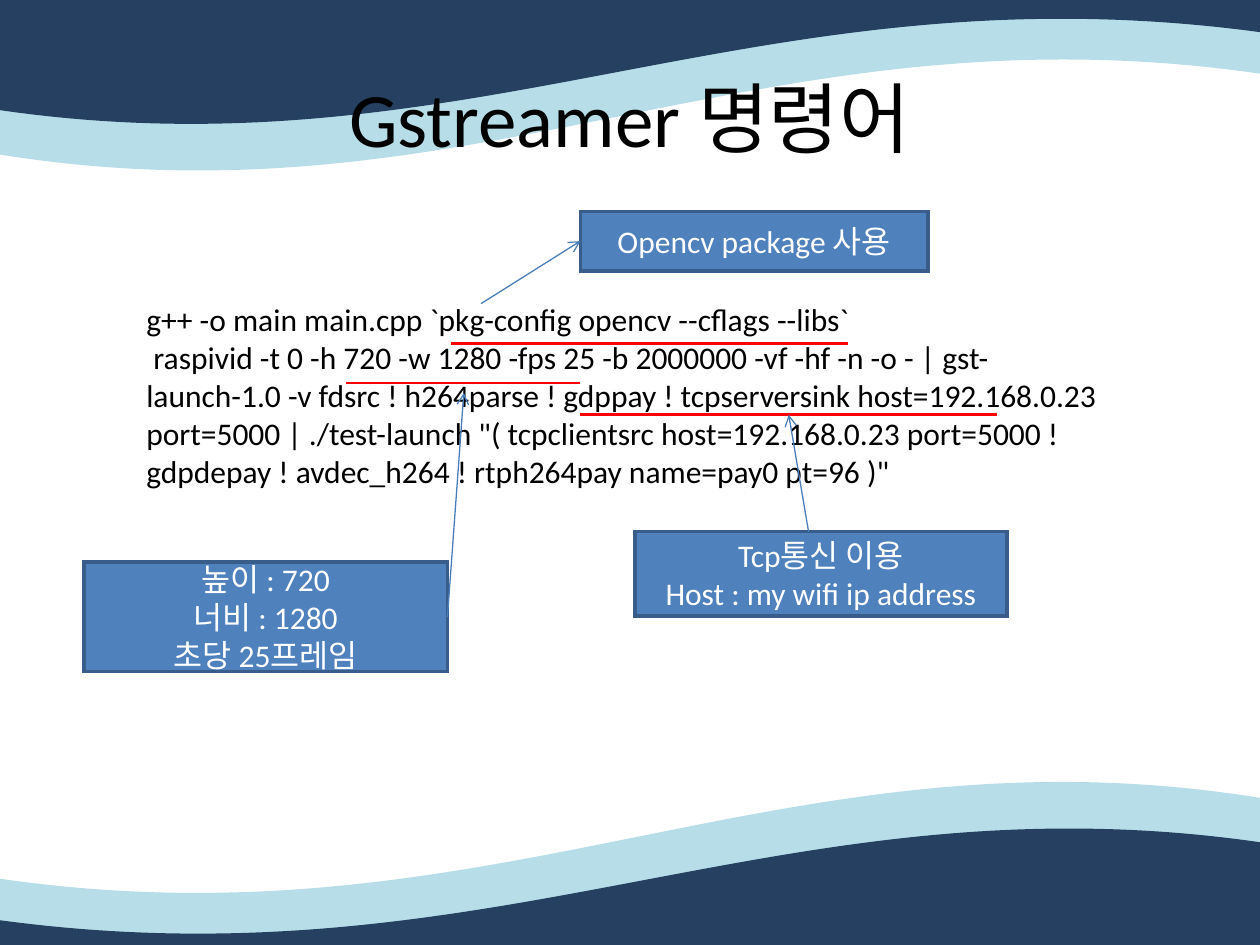
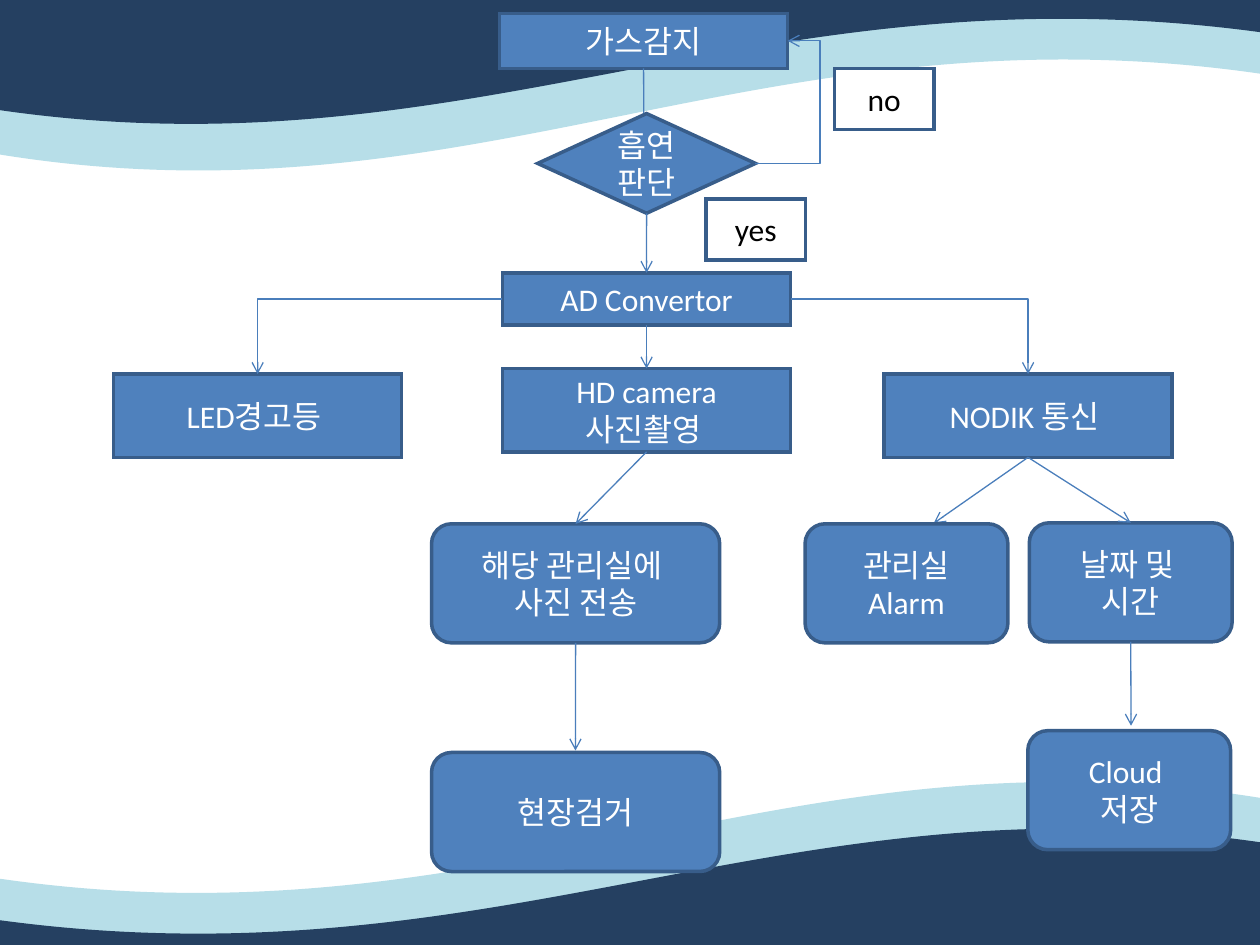
from dataclasses import dataclass
from typing import NamedTuple, Optional, Union

import lxml.etree
import pptx
import pptx.dml.color
import pptx.enum.shapes
import pptx.enum.text
import pptx.oxml.ns
import pptx.util

Cm = pptx.util.Cm
Pt = pptx.util.Pt
RGBColor = pptx.dml.color.RGBColor
Shape = pptx.enum.shapes.MSO_SHAPE
Align = pptx.enum.text.PP_ALIGN
Anchor = pptx.enum.text.MSO_ANCHOR
qn = pptx.oxml.ns.qn

FONT = "Calibri"
BLACK = RGBColor(0x00, 0x00, 0x00)
WHITE = RGBColor(0xFF, 0xFF, 0xFF)
NAVY = RGBColor(0x25, 0x40, 0x61)
PALE_BLUE = RGBColor(0xB7, 0xDE, 0xE8)
BOX_BLUE = RGBColor(0x4F, 0x81, 0xBD)
BORDER_BLUE = RGBColor(0x38, 0x5D, 0x8A)
ARROW_BLUE = RGBColor(0x4A, 0x7E, 0xBB)
RED = RGBColor(0xFF, 0x00, 0x00)

SLIDE_WIDTH, SLIDE_HEIGHT = 25.4, 19.05
WAVE_TURN_HEIGHT = 19.2  # a bottom wave is a top wave turned: y -> 19.2 - y
TOP, LEFT, BOTTOM, RIGHT = range(4)


class Point(NamedTuple):
    """A place on the slide, in cm."""
    x: float
    y: float


class Side(NamedTuple):
    """A connection site of a node."""
    node: str
    site: int


@dataclass(frozen=True)
class Wave:
    color: RGBColor
    edge: float
    height: float
    curve: tuple[Point, Point, Point, Point]


@dataclass(frozen=True)
class Node:
    key: str
    left: float
    top: float
    width: float
    height: float
    lines: tuple[str, ...]
    kind: Shape = Shape.RECTANGLE
    fill: RGBColor = BOX_BLUE
    ink: RGBColor = WHITE


@dataclass(frozen=True)
class Arrow:
    begin: Union[Point, Side]
    end: Union[Point, Side]
    geometry: str = "line"
    bend: Optional[int] = None


@dataclass(frozen=True)
class Underline:
    left: float
    right: float
    y: float


WAVES = (
    Wave(PALE_BLUE, -0.08, 3.51,
         (Point(25.5, 1.5), Point(15.32, 0), Point(9.6, 4.7), Point(-0.1, 3.1))),
    Wave(NAVY, -0.13, 2.64,
         (Point(25.48, 0.66), Point(15.29, -0.74), Point(9.58, 3.63), Point(-0.08, 2.21))),
)

COMMAND = (
    "g++ -o main main.cpp `pkg-config opencv --cflags --libs`",
    " raspivid -t 0 -h 720 -w 1280 -fps 25 -b 2000000 -vf -hf -n -o - | "
    "gst-launch-1.0 -v fdsrc ! h264parse ! gdppay ! tcpserversink "
    "host=192.168.0.23 port=5000 | ./test-launch \"( tcpclientsrc "
    "host=192.168.0.23 port=5000 ! gdpdepay ! avdec_h264 ! rtph264pay "
    "name=pay0 pt=96 )\"",
)

COMMAND_NOTES = (
    Underline(9.1, 17.1, 6.93),
    Node("opencv", 11.7, 4.26, 7.01, 1.2, ("Opencv package 사용",)),
    Arrow(Point(9.7, 6.12), Side("opencv", LEFT)),
    Underline(6.98, 11.7, 7.72),
    Node("video", 1.69, 11.33, 7.33, 2.21, ("높이 : 720", "너비 : 1280", "초당 25프레임")),
    Arrow(Side("video", RIGHT), Point(9.35, 7.92)),
    Underline(11.7, 20.09, 8.36),
    Node("tcp", 12.8, 10.72, 7.5, 1.7, ("Tcp통신 이용", "Host : my wifi ip address")),
    Arrow(Point(16.3, 10.72), Point(15.9, 8.36)),
)

STEP_WIDTH, STEP_HEIGHT = 5.81, 1.68
ROUND_WIDTH, ROUND_HEIGHT = 4.09, 2.4


def step(key: str, left: float, top: float, *lines: str, height: float = STEP_HEIGHT) -> Node:
    return Node(key, left, top, STEP_WIDTH, height, lines)


def result(key: str, left: float, top: float, *lines: str, width: float = ROUND_WIDTH) -> Node:
    return Node(key, left, top, width, ROUND_HEIGHT, lines, Shape.ROUNDED_RECTANGLE)


def answer(left: float, top: float, word: str) -> Node:
    return Node(word, left, top, 2.01, 1.23, (word,), fill=WHITE, ink=BLACK)


SMOKING_FLOW = (
    step("gas", 10.07, 0.27, "가스감지", height=1.11),
    Arrow(Side("gas", BOTTOM), Point(12.98, 3.12)),
    step("convertor", 10.13, 5.5, "AD Convertor", height=1.05),
    Node("smoking", 10.84, 2.29, 4.39, 2.01, ("흡연판단",), Shape.FLOWCHART_DECISION),
    Arrow(Side("smoking", RIGHT), Side("gas", RIGHT), "bentConnector3", 200500),
    answer(16.82, 1.38, "no"),
    result("send", 8.7, 10.56, "해당 관리실에 ", "사진 전송", width=STEP_WIDTH),
    step("camera", 10.13, 7.43, "HD camera", "사진촬영 "),
    Arrow(Side("smoking", BOTTOM), Side("convertor", TOP)),
    answer(14.23, 4.01, "yes"),
    Arrow(Side("convertor", BOTTOM), Side("camera", TOP)),
    step("led", 2.29, 7.54, "LED경고등 "),
    step("network", 17.82, 7.54, "NODIK 통신 "),
    Arrow(Side("convertor", LEFT), Side("led", TOP), "bentConnector2"),
    Arrow(Side("convertor", RIGHT), Side("network", TOP), "bentConnector2"),
    result("date", 20.75, 10.54, "날짜 및 ", "시간"),
    Arrow(Side("camera", BOTTOM), Side("send", TOP)),
    Arrow(Side("network", BOTTOM), Side("date", TOP)),
    result("arrest", 8.7, 15.17, "현장검거", width=STEP_WIDTH),
    Arrow(Side("send", BOTTOM), Point(11.6, 15.13)),
    Arrow(Side("network", BOTTOM), Point(18.82, 10.55)),
    result("alarm", 16.23, 10.56, "관리실", "Alarm"),
    Arrow(Side("date", BOTTOM), Point(22.8, 14.63)),
    result("cloud", 20.72, 14.73, "Cloud ", "저장"),
)


def write_lines(frame, lines: tuple[str, ...], color: RGBColor, align: Align, size: int = 18) -> None:
    frame.word_wrap = True
    for index, line in enumerate(lines):
        paragraph = frame.paragraphs[0] if index == 0 else frame.add_paragraph()
        paragraph.alignment = align
        run = paragraph.add_run()
        run.text = line
        run.font.name = FONT
        run.font.size = Pt(size)
        run.font.color.rgb = color


def draw_wave(slide, wave: Wave):
    """Draw a wave at the top; its last straight segment becomes a Bezier curve."""
    start, *_, finish = wave.curve
    builder = slide.shapes.build_freeform(Cm(finish.x), Cm(wave.edge))
    corners = (Point(start.x, wave.edge), start, finish)
    builder.add_line_segments([(Cm(x), Cm(y)) for x, y in corners], close=True)
    band = builder.convert_to_shape()
    outline = next(band.element.iter(qn("a:path")))
    curve = lxml.etree.Element(qn("a:cubicBezTo"))
    for x, y in wave.curve[1:]:
        lxml.etree.SubElement(curve, qn("a:pt"),
                              x=str(Cm(x) - band.left), y=str(Cm(y) - band.top))
    outline.replace(outline.findall(qn("a:lnTo"))[-1], curve)
    band.height = Cm(wave.height)
    outline.set("h", str(band.height))
    band.shadow.inherit = False
    band.fill.solid()
    band.fill.fore_color.rgb = wave.color
    band.line.fill.background()
    return band


def add_waves_to_master(presentation, slide) -> None:
    """Build the waves on a slide, then move them behind the master's content."""
    master_tree = presentation.slide_master.shapes.element
    position = 2
    for turned in (True, False):
        for wave in WAVES:
            band = draw_wave(slide, wave)
            if turned:
                band.rotation = 180
                band.left = Cm(SLIDE_WIDTH) - band.left - band.width
                band.top = Cm(WAVE_TURN_HEIGHT) - band.top - band.height
            band.element.nvSpPr.cNvPr.set("id", str(100 + position))
            master_tree.insert(position, band.element)
            position += 1


def draw_node(slide, node: Node):
    box = slide.shapes.add_shape(
        node.kind, Cm(node.left), Cm(node.top), Cm(node.width), Cm(node.height))
    box.shadow.inherit = False
    box.fill.solid()
    box.fill.fore_color.rgb = node.fill
    box.line.color.rgb = BORDER_BLUE
    box.line.width = Pt(2)
    lxml.etree.SubElement(box.element.spPr.find(qn("a:ln")), qn("a:miter"), lim="800000")
    box.text_frame.vertical_anchor = Anchor.MIDDLE
    write_lines(box.text_frame, node.lines, node.ink, Align.CENTER)
    return box


def draw_line(slide, begin: Point, end: Point, color: RGBColor, width: float):
    line = slide.shapes.add_connector(
        pptx.enum.shapes.MSO_CONNECTOR.STRAIGHT,
        Cm(begin.x), Cm(begin.y), Cm(end.x), Cm(end.y))
    line.line.color.rgb = color
    line.line.width = Pt(width)
    lxml.etree.SubElement(line.element.spPr, qn("a:effectLst"))
    return line


def draw_arrow(slide, arrow: Arrow, boxes: dict) -> None:
    begin, end = (Point(0, 0) if isinstance(place, Side) else place
                  for place in (arrow.begin, arrow.end))
    connector = draw_line(slide, begin, end, ARROW_BLUE, 0.75)
    for place, connect in ((arrow.begin, connector.begin_connect),
                           (arrow.end, connector.end_connect)):
        if isinstance(place, Side):
            connect(boxes[place.node], place.site)
    properties = connector.element.spPr
    lxml.etree.SubElement(properties.find(qn("a:ln")), qn("a:tailEnd"), type="arrow")
    geometry = properties.find(qn("a:prstGeom"))
    geometry.set("prst", arrow.geometry)
    if arrow.bend is not None:
        lxml.etree.SubElement(geometry.find(qn("a:avLst")), qn("a:gd"),
                              name="adj1", fmla=f"val {arrow.bend}")


def draw_items(slide, items: tuple[Union[Node, Arrow, Underline], ...]) -> None:
    boxes = {}
    for item in items:
        if isinstance(item, Node):
            boxes[item.key] = draw_node(slide, item)
        elif isinstance(item, Arrow):
            draw_arrow(slide, item, boxes)
        else:
            draw_line(slide, Point(item.left, item.y), Point(item.right, item.y), RED, 1.5)


def build_command_slide(slide) -> None:
    title = slide.shapes.title
    title.left, title.top, title.width, title.height = Cm(1.27), Cm(0.76), Cm(22.86), Cm(3.18)
    title.text_frame.vertical_anchor = Anchor.MIDDLE
    write_lines(title.text_frame, ("Gstreamer 명령어",), BLACK, Align.CENTER, 44)
    command = slide.shapes.add_textbox(Cm(2.7), Cm(5.93), Cm(20.19), Cm(4.83))
    write_lines(command.text_frame, COMMAND, BLACK, Align.LEFT)
    draw_items(slide, COMMAND_NOTES)


def main() -> None:
    presentation = pptx.Presentation()
    presentation.slide_width = Cm(SLIDE_WIDTH)
    presentation.slide_height = Cm(SLIDE_HEIGHT)
    title_only, blank = presentation.slide_layouts[5], presentation.slide_layouts[6]
    command_slide = presentation.slides.add_slide(title_only)
    add_waves_to_master(presentation, command_slide)
    build_command_slide(command_slide)
    draw_items(presentation.slides.add_slide(blank), SMOKING_FLOW)
    presentation.save("out.pptx")


if __name__ == "__main__":
    main()
